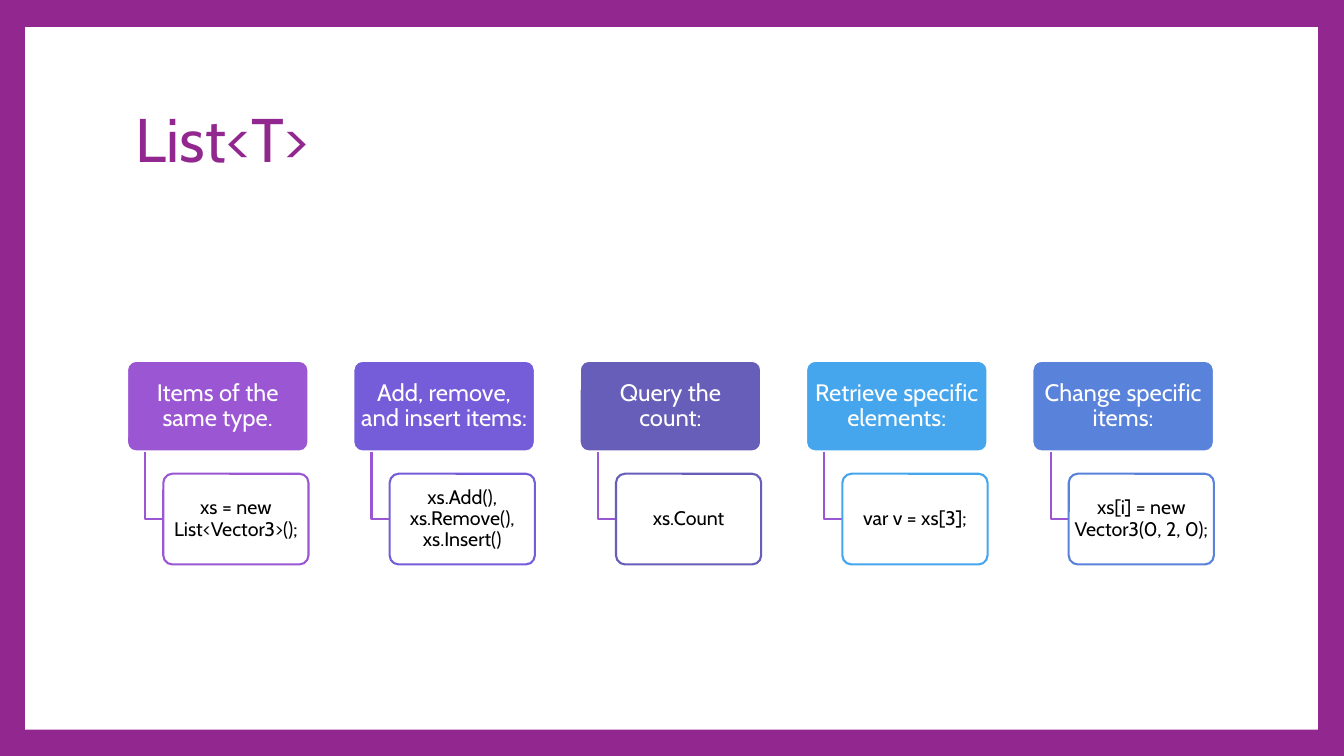
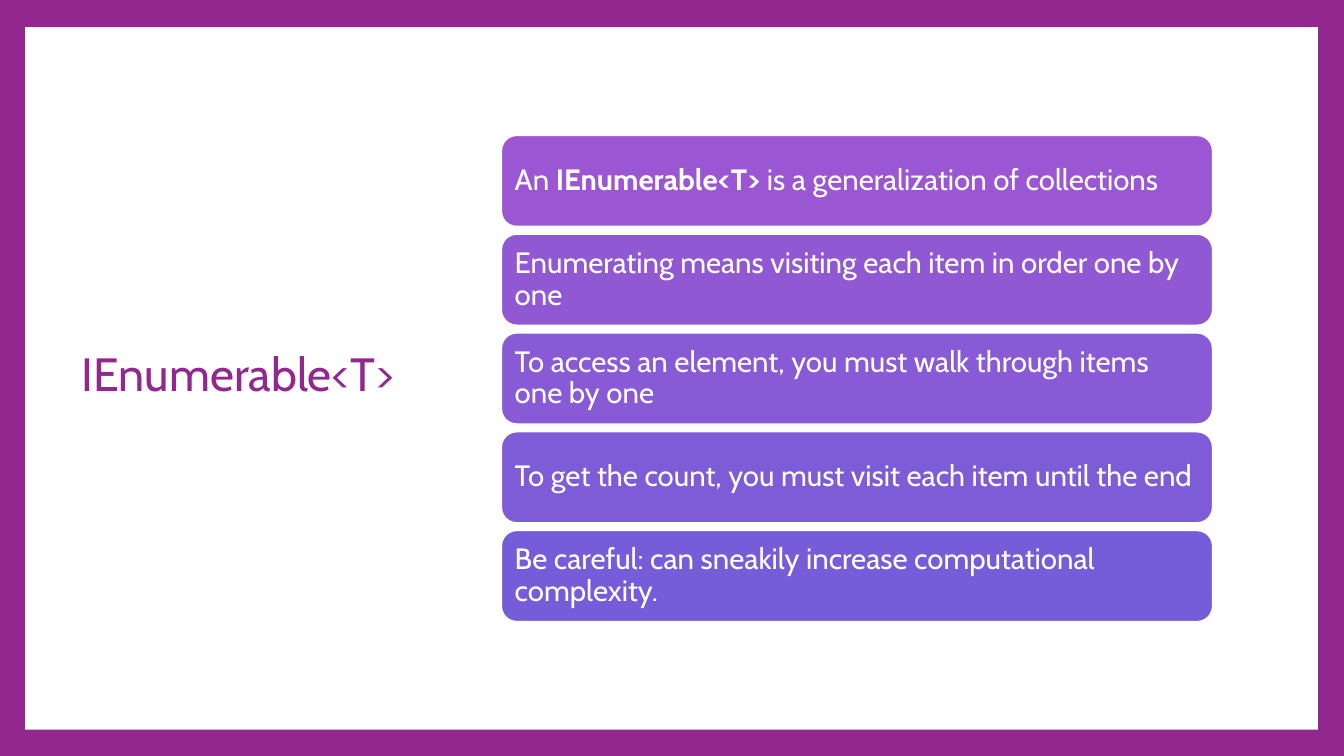
from pptx import Presentation
from pptx.dml.color import RGBColor
from pptx.enum.shapes import MSO_SHAPE as SHAPE
from pptx.enum.text import MSO_ANCHOR as ANCHOR, PP_ALIGN as ALIGN
from pptx.util import Inches, Pt

FONT = "Cabin"
WHITE = RGBColor(0xFF, 0xFF, 0xFF)
BLACK = RGBColor(0x00, 0x00, 0x00)
MAGENTA = RGBColor(0x92, 0x27, 0x8F)
PURPLE = RGBColor(0x9B, 0x57, 0xD3)
VIOLET = RGBColor(0x75, 0x5D, 0xD9)
INDIGO = RGBColor(0x66, 0x5E, 0xB8)
SKY = RGBColor(0x45, 0xA5, 0xED)
BLUE = RGBColor(0x59, 0x82, 0xDB)

OPERATIONS = [
    ("Items of the same type.", "xs = new List<Vector3>();", PURPLE),
    ("Add, remove, and insert items:", "xs.Add(), xs.Remove(), xs.Insert()", VIOLET),
    ("Query the count:", "xs.Count", INDIGO),
    ("Retrieve specific elements:", "var v = xs[3];", SKY),
    ("Change specific items:", "xs[i] = new Vector3(0, 2, 0);", BLUE),
]

FACTS = [
    [("An ", False), ("IEnumerable<T>", True), (" is a generalization of collections", False)],
    [("Enumerating means visiting each item in order one by one", False)],
    [("To access an element, you must walk through items one by one", False)],
    [("To get the count, you must visit each item until the end", False)],
    [("Be careful: can sneakily increase computational complexity.", False)],
]


def blend(start, end, step, steps):
    return RGBColor(*(a + (b - a) * step // steps for a, b in zip(start, end)))


class Deck:
    def __init__(self):
        self.prs = Presentation()
        self.prs.slide_width = Inches(13.33)
        self.prs.slide_height = Inches(7.5)
        self.slide = None

    def new_slide(self):
        self.slide = self.prs.slides.add_slide(self.prs.slide_layouts[6])
        fill = self.slide.background.fill
        fill.solid()
        fill.fore_color.rgb = MAGENTA
        self.box(SHAPE.RECTANGLE, 0.25, 0.27, 12.82, 6.97, WHITE)

    def box(self, kind, x, y, w, h, fill, line=None):
        sp = self.slide.shapes.add_shape(kind, Inches(x), Inches(y), Inches(w), Inches(h))
        sp.shadow.inherit = False
        sp.fill.solid()
        sp.fill.fore_color.rgb = fill
        if line is None:
            sp.line.fill.background()
        else:
            sp.line.color.rgb = line
            sp.line.width = Pt(1.5)
        return sp

    def add_text(self, sp, runs, size, color, align=ALIGN.LEFT, margins=(0.1, 0.05)):
        tf = sp.text_frame
        tf.word_wrap = True
        tf.vertical_anchor = ANCHOR.MIDDLE
        tf.margin_left = tf.margin_right = Inches(margins[0])
        tf.margin_top = tf.margin_bottom = Inches(margins[1])
        p = tf.paragraphs[0]
        p.alignment = align
        p.line_spacing = 0.9
        for text, bold in runs:
            r = p.add_run()
            r.text = text
            r.font.name = FONT
            r.font.size = Pt(size)
            r.font.bold = bold
            r.font.color.rgb = color

    def title(self, text, x, y, w, h, size):
        sp = self.slide.shapes.add_textbox(Inches(x), Inches(y), Inches(w), Inches(h))
        self.add_text(sp, [(text, False)], size, MAGENTA)

    def card(self, runs, x, y, w, h, size, color, fill, line, align, margins, radius):
        sp = self.box(SHAPE.ROUNDED_RECTANGLE, x, y, w, h, fill, line)
        sp.adjustments[0] = radius
        self.add_text(sp, runs, size, color, align, margins)

    def elbow(self, x, top, right, bottom):
        builder = self.slide.shapes.build_freeform(Inches(x), Inches(top))
        corners = [(Inches(x), Inches(bottom)), (Inches(right), Inches(bottom))]
        builder.add_line_segments(corners, close=False)
        sp = builder.convert_to_shape()
        sp.shadow.inherit = False
        sp.fill.background()
        sp.line.color.rgb = PURPLE
        sp.line.width = Pt(1.5)

    def operation(self, heading, code, x, color):
        top, width, height = 3.58, 1.8, 0.9
        code_x, code_y = x + 0.36, 4.7
        self.card([(heading, False)], x, top, width, height, 17, WHITE,
                  color, WHITE, ALIGN.CENTER, (0.04, 0.02), 0.1)
        self.elbow(x + 0.18, top + height, code_x, code_y + height / 2)
        self.card([(code, False)], code_x, code_y, 0.8 * width, height, 14, BLACK,
                  WHITE, color, ALIGN.CENTER, (0.03, 0.02), 0.1)

    def fact(self, runs, y, color):
        self.card(runs, 4.97, y, 7.06, 0.91, 21, WHITE,
                  color, WHITE, ALIGN.LEFT, (0.09, 0.09), 0.17)


def main():
    deck = Deck()

    deck.new_slide()
    deck.title("List<T>", 1.25, 0.67, 10.8, 1.48, 44)
    first, last = 1.26, 10.24
    pitch = (last - first) / (len(OPERATIONS) - 1)
    for i, (heading, code, color) in enumerate(OPERATIONS):
        deck.operation(heading, code, first + i * pitch, color)

    deck.new_slide()
    deck.title("IEnumerable<T>", 0.71, 0.67, 3.68, 6.13, 33.3)
    for i, runs in enumerate(FACTS):
        deck.fact(runs, 1.34 + i * 0.98, blend(PURPLE, VIOLET, i, len(FACTS) - 1))

    deck.prs.save("out.pptx")


if __name__ == "__main__":
    main()
